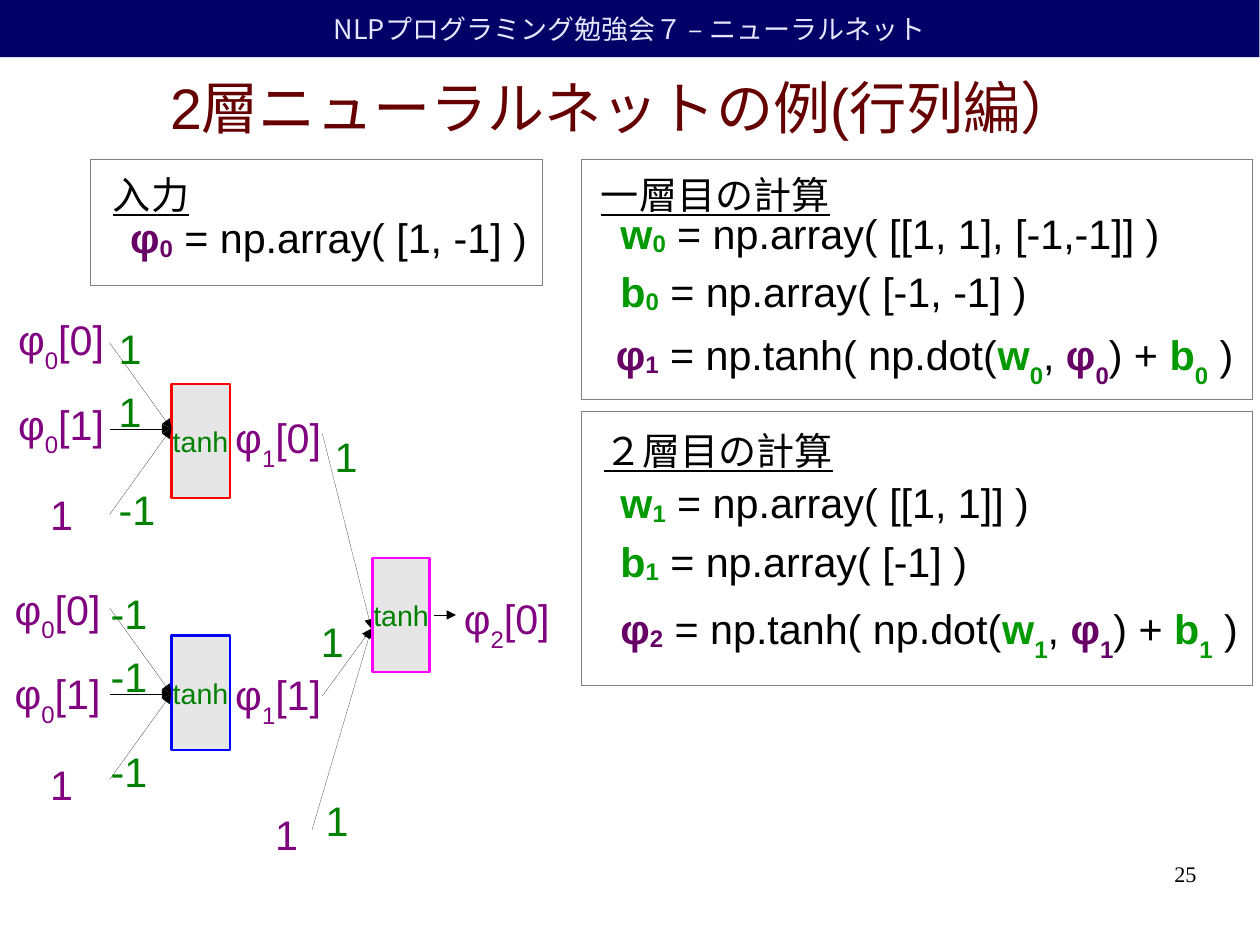
from lxml import etree
from pptx import Presentation
from pptx.dml.color import RGBColor
from pptx.enum.shapes import MSO_CONNECTOR, MSO_SHAPE
from pptx.enum.text import MSO_ANCHOR, MSO_AUTO_SIZE, PP_ALIGN
from pptx.oxml.ns import qn
from pptx.util import Emu, Inches, Pt

# Content. Lengths are cells of a 0.1-inch grid.
# In marked text, | splits runs, _ lowers an index far and ~ lowers it slightly.
COLS = 110.2
HEADER = "NLPプログラミング勉強会７ – ニューラルネット"
TITLE = "2層ニューラルネットの例(行列編）"
PAGE = "25"
PURPLE, GREEN, BLACK, GRAY = "800080", "008000", "000000", "808080"
SYMBOLS = {"φ": "660066", "w": "009900", "b": "009900"}

# Panels: box, heading with its place, formulas with their places
PANELS = [
    ((7.9, 14, 39.6, 11), ("入力", 8.9, 14.5, 8.9), [
        ("φ~0| = np.array( [1, -1] )", 10.4, 18.1, 36.8)]),
    ((50.9, 14, 58.7, 21), ("一層目の計算", 51.6, 14.5, 26.5), [
        ("w~0| = np.array( [[1, 1], [-1,-1]] )", 53.3, 17.7, 49.3),
        ("b~0| = np.array( [-1, -1] )", 53.3, 22.8, 37.6),
        ("φ~1| = np.tanh( np.dot(|w_0|, |φ_0|) + |b_0| )", 52.9, 28.3, 56.2)]),
    ((50.9, 36, 58.7, 24), ("２層目の計算", 51.9, 36.9, 22.2), [
        ("w~1| = np.array( [[1, 1]] )", 53.3, 41.3, 37.8),
        ("b~1| = np.array( [-1] )", 53.3, 46.4, 33.9),
        ("φ~2| = np.tanh( np.dot(|w_1|, |φ_1|) + |b_1| )", 53.3, 52.3, 56.2)]),
]

# First layer: box top, gate y, edge colour, label x, label shift, weight x,
# weights with their y
LAYER1 = [
    (33.6, 37.5, "FF0000", 0.6, 0, 9.4, [("1", 27.8), ("1", 33.3), ("-1", 41.9)]),
    (55.6, 60.7, "0000FF", 0.3, 0.4, 8.7, [("-1", 51), ("-1", 56.5), ("-1", 64.8)]),
]
# Inputs: label, x (None: the unit's own), offset from the gate
INPUTS = [("φ_0|[0]", None, -10.5), ("φ_0|[1]", None, -3.1), ("1", 3.4, 4.8)]
GATE_X, EDGE_X, EDGE_STEP = 15, 9.6, 7.5

# Second layer: label with its place, edge start, weight place
LAYER2 = [
    ("φ_1|[0]", (19.6, 35.6), (28.2, 37.9), (28.3, 37.2)),
    ("φ_1|[1]", (19.6, 58.1), (28.2, 60.9), (27.1, 53.4)),
    ("1", (23.1, 70.3), (27.3, 72.6), (27.5, 69.1)),
]
GATE2 = (32.5, 55)
OUTPUT = ("φ_2|[0]", (39.6, 51.4), (38, 53.8), (39.9, 53.8))

prs = Presentation()
prs.slide_width, prs.slide_height = Emu(10080625), Emu(7559675)
s = prs.slides.add_slide(prs.slide_layouts[6])


def grid(*cells):
    return [Inches(c / 10) for c in cells]


def rgb(value):
    return RGBColor.from_string(value)


def style(r, size, color, font="Arial", bold=False, underline=False, drop=0):
    r.font.size, r.font.name = Pt(size), font
    r.font.bold, r.font.underline = bold, underline
    r.font.color.rgb = rgb(color)
    rPr = r._r.get_or_add_rPr()
    etree.SubElement(rPr, qn("a:ea")).set("typeface", "Noto Sans CJK JP")
    if drop:
        rPr.set("baseline", str(-1000 * drop))


def frame(sp, inset, anchor, wrap):
    tf = sp.text_frame
    tf.margin_left = tf.margin_right = Inches(inset)
    tf.margin_top = tf.margin_bottom = Inches(inset / 2)
    tf.vertical_anchor, tf.word_wrap = anchor, wrap
    return tf


def text(words, box, size, color, align=PP_ALIGN.LEFT, inset=0.1,
         anchor=MSO_ANCHOR.TOP, wrap=False, **look):
    tf = frame(s.shapes.add_textbox(*grid(*box)), inset, anchor, wrap)
    tf.auto_size = MSO_AUTO_SIZE.NONE if wrap else MSO_AUTO_SIZE.SHAPE_TO_FIT_TEXT
    tf.text = words
    tf.paragraphs[0].alignment = align
    style(tf.paragraphs[0].runs[0], size, color, **look)


def marked(words, x, y, width, color=None):
    """Write marked text; without a colour, symbols are bold and coloured."""
    tf = frame(s.shapes.add_textbox(*grid(x, y, width, 6.2)), 0.1, MSO_ANCHOR.TOP, False)
    tf.auto_size = MSO_AUTO_SIZE.SHAPE_TO_FIT_TEXT
    for part in words.split("|"):
        mark = next((m for m in "_~" if m in part), None)
        pieces = part.split(mark) if mark else [part]
        for i, piece in enumerate(pieces):
            r = tf.paragraphs[0].add_run()
            r.text = piece
            drop = {"_": 33, "~": 8}[mark] if i else 0
            ink = color or (SYMBOLS[part[0]] if mark else BLACK)
            style(r, 26, ink, bold=bool(mark and not color), drop=drop)


def label(words, x, y, color):
    if "_" in words:
        marked(words, x, y, 9.5, color)
    else:
        text(words, (x, y, 5.2 if words[0] == "-" else 4, 5), 26, color)


def stroke(line, color, width=0):
    """Colour a line; width 0 is a hairline and must be written out."""
    line.color.rgb = rgb(color)
    ln = line._get_or_add_ln()
    ln.set("w", str(int(Pt(width))))
    return ln


def rect(box, fill=None, line=None, width=0):
    sp = s.shapes.add_shape(MSO_SHAPE.RECTANGLE, *grid(*box))
    sp.shadow.inherit = False
    if fill:
        sp.fill.solid()
        sp.fill.fore_color.rgb = rgb(fill)
    else:
        sp.fill.background()
    if line:
        stroke(sp.line, line, width)
    else:
        sp.line.fill.background()
    return sp


def neuron(x, y, width, edge):
    tf = frame(rect((x, y, width, 10), "E6E6E6", edge, 1.45), 0.11,
               MSO_ANCHOR.MIDDLE, False)
    tf.text = "tanh"
    tf.paragraphs[0].alignment = PP_ALIGN.CENTER
    style(tf.paragraphs[0].runs[0], 18, GREEN)


def arrow(start, end):
    c = s.shapes.add_connector(MSO_CONNECTOR.STRAIGHT, *grid(*start, *end))
    ln = stroke(c.line, BLACK)
    etree.SubElement(ln, qn("a:tailEnd")).set("type", "triangle")
    etree.SubElement(c._element.spPr, qn("a:effectLst"))


# Header, title and page number
rect((0, 0, COLS, 5), "000066")
text(HEADER, (0, 0, COLS, 5), 17, "E6E6FF", PP_ALIGN.CENTER,
     anchor=MSO_ANCHOR.MIDDLE, wrap=True, font="Noto Sans CJK JP")
text(TITLE, (5, 5.7, 99.2, 7.2), 36, "660000", PP_ALIGN.CENTER, 0,
     MSO_ANCHOR.MIDDLE, True)
text(PAGE, (79, 75.3, 25.7, 5.7), 14, BLACK, PP_ALIGN.RIGHT, 0, wrap=True,
     font="Times New Roman")

# Calculation panels
for box, (heading, x, y, width), formulas in PANELS:
    rect(box, line=GRAY)
    text(heading, (x, y, width, 4.9), 24, BLACK, underline=True)
    for formula in formulas:
        marked(*formula)

# First layer: edges end under the box
for top, gate, edge, label_x, shift, weight_x, weights in LAYER1:
    neuron(GATE_X, top, 5.1, edge)
    for i, (name, x, dy) in enumerate(INPUTS):
        arrow((EDGE_X, gate + (i - 1) * EDGE_STEP), (GATE_X, gate))
        label(name, x or label_x, gate + dy + shift, PURPLE)
        weight, weight_y = weights[i]
        label(weight, weight_x, weight_y, GREEN)

# Second layer and output
for name, place, start, weight_place in LAYER2:
    arrow(start, GATE2)
    label(name, *place, PURPLE)
    label("1", *weight_place, GREEN)
neuron(32.6, 48.8, 5, "FF00FF")
name, place, start, end = OUTPUT
arrow(start, end)
label(name, *place, PURPLE)

prs.save("out.pptx")
